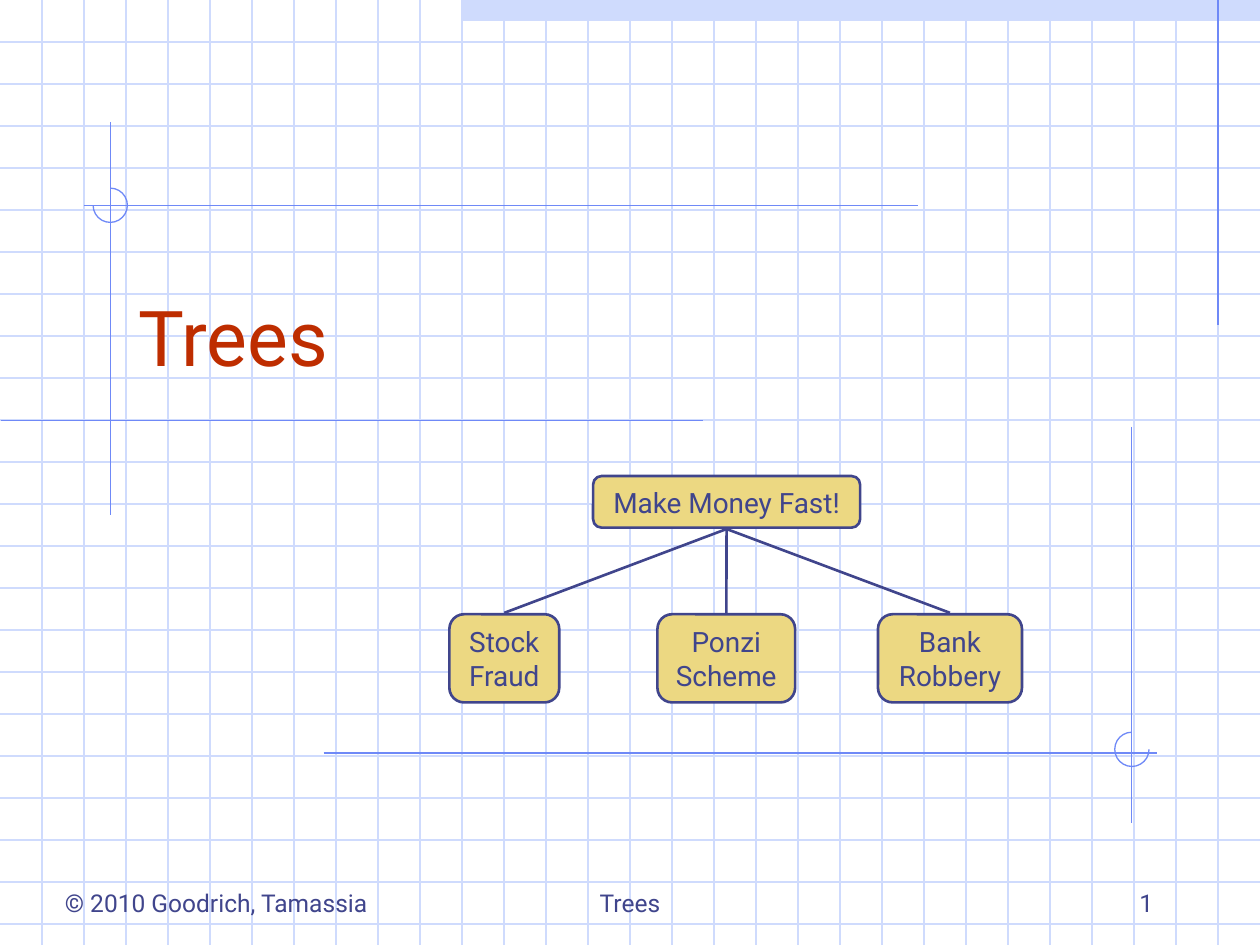
import pptx
import pptx.dml.color
import pptx.enum.shapes
import pptx.enum.text
import pptx.oxml
import pptx.util

Pt = pptx.util.Pt
RGBColor = pptx.dml.color.RGBColor
SHAPE = pptx.enum.shapes.MSO_SHAPE
STRAIGHT = pptx.enum.shapes.MSO_CONNECTOR.STRAIGHT
ALIGN = pptx.enum.text.PP_ALIGN
ANCHOR = pptx.enum.text.MSO_ANCHOR

PALE_BLUE = RGBColor(0xCF, 0xDB, 0xFD)
GUIDE_BLUE = RGBColor(0x6F, 0x89, 0xF7)
NAVY = RGBColor(0x40, 0x45, 0x8C)
RED = RGBColor(0xBE, 0x2D, 0x00)
SAND = RGBColor(0xEC, 0xD8, 0x82)

FONT = "Roboto"
PAGE_WIDTH, PAGE_HEIGHT = 720, 540
GRID_STEP = 24
ARC_UNITS_PER_DEGREE = 0.6


def add_line(page, start, end, color, width=0.75):
    line = page.shapes.add_connector(STRAIGHT, *(Pt(value) for value in start + end))
    line.line.color.rgb = color
    line.line.width = Pt(width)
    line._element.spPr.append(pptx.oxml.parse_xml(
        '<a:effectLst xmlns:a="http://schemas.openxmlformats.org/drawingml/2006/main"/>'))


def add_shape(page, kind, box, fill=None, line=None, width=0.75):
    shape = page.shapes.add_shape(kind, *(Pt(value) for value in box))
    shape.shadow.inherit = False
    if fill is None:
        shape.fill.background()
    else:
        shape.fill.solid()
        shape.fill.fore_color.rgb = fill
    if line is None:
        shape.line.fill.background()
    else:
        shape.line.color.rgb = line
        shape.line.width = Pt(width)
    return shape


def write_text(shape, text, size=16, color=NAVY, align=ALIGN.LEFT,
               anchor=ANCHOR.BOTTOM, wrap=True):
    frame = shape.text_frame
    frame.word_wrap = wrap
    frame.vertical_anchor = anchor
    para = frame.paragraphs[0]
    para.text = text
    para.alignment = align
    for span in para.runs:
        span.font.name = FONT
        span.font.size = Pt(size)
        span.font.color.rgb = color


def add_label(page, box, text, **text_format):
    label = page.shapes.add_textbox(*(Pt(value) for value in box))
    write_text(label, text, **text_format)


def draw_grid(page, box):
    left, top, width, height = box
    right, bottom = left + width, top + height
    add_shape(page, SHAPE.RECTANGLE, (left + 264, top, width - 264, 12), fill=PALE_BLUE)
    for y in range(top + GRID_STEP, bottom, GRID_STEP):
        add_line(page, (left, y), (right, y), PALE_BLUE)
    for x in range(left + GRID_STEP, right, GRID_STEP):
        add_line(page, (x, top), (x, bottom), PALE_BLUE)


def draw_guide_arc(page, center, start_angle, end_angle):
    radius = 9.8
    x, y = center
    arc = add_shape(page, SHAPE.ARC, (x - radius, y - radius, 2 * radius, 2 * radius),
                    line=GUIDE_BLUE)
    arc.adjustments[0] = start_angle * ARC_UNITS_PER_DEGREE
    arc.adjustments[1] = end_angle * ARC_UNITS_PER_DEGREE


def draw_guides(page, box):
    left, top = box[:2]
    guides = [
        ((696, 0), (696, 186)),
        ((63.2, 70), (63.2, 294.5)),
        ((0.5, 240.4), (401.8, 240.4)),
        ((48, 117.3), (524.3, 117.3)),
        ((185, 430.3), (661, 430.3)),
        ((646.6, 244), (646.6, 470.3)),
    ]
    for (x1, y1), (x2, y2) in guides:
        add_line(page, (left + x1, top + y1), (left + x2, top + y2), GUIDE_BLUE)
    draw_guide_arc(page, (left + 63, top + 117.3), 270, 180)
    draw_guide_arc(page, (left + 646.8, top + 428.2), 0, 270)


def draw_node(page, box, text):
    node = add_shape(page, SHAPE.ROUNDED_RECTANGLE, box, fill=SAND, line=NAVY, width=1.5)
    node.adjustments[0] = 0.167
    write_text(node, text, align=ALIGN.CENTER, anchor=ANCHOR.MIDDLE, wrap=False)


def draw_tree(page, box):
    left, top, width, height = box
    root_left, root_width, root_height = 82.1, 152.6, 29.5
    child_height = 50.4
    child_top = top + height - child_height
    root_foot = (left + root_left + root_width / 2, top + root_height + 0.8)
    children = [
        (0, 62.8, "Stock\vFraud"),
        (118.9, 78.7, "Ponzi\vScheme"),
        (width - 82.3, 82.3, "Bank\vRobbery"),
    ]
    draw_node(page, (left + root_left, top, root_width, root_height), "Make Money Fast!")
    for offset, child_width, text in children:
        x = left + offset
        draw_node(page, (x, child_top, child_width, child_height), text)
        add_line(page, root_foot, (x + child_width / 2, child_top - 0.8), NAVY, 1.5)


def draw_footer(page, box):
    left, top, width, height = box
    parts = [
        (0, 198, "© 2010 Goodrich, Tamassia", ALIGN.LEFT),
        (216, 228, "Trees", ALIGN.CENTER),
        (width - 150, 150, "1", ALIGN.RIGHT),
    ]
    for offset, part_width, text, align in parts:
        add_label(page, (left + offset, top, part_width, height), text, size=14, align=align)


def main():
    deck = pptx.Presentation()
    deck.slide_width, deck.slide_height = Pt(PAGE_WIDTH), Pt(PAGE_HEIGHT)
    page = deck.slides.add_slide(deck.slide_layouts[6])
    full_page = (0, 0, PAGE_WIDTH, PAGE_HEIGHT)
    draw_grid(page, full_page)
    draw_guides(page, full_page)
    add_label(page, (72, 132, 612, 90), "Trees", size=44, color=RED)
    draw_tree(page, (256.8, 272, 327.2, 129.4))
    draw_footer(page, (30, 492, 636, 36))
    deck.save("out.pptx")


if __name__ == "__main__":
    main()
